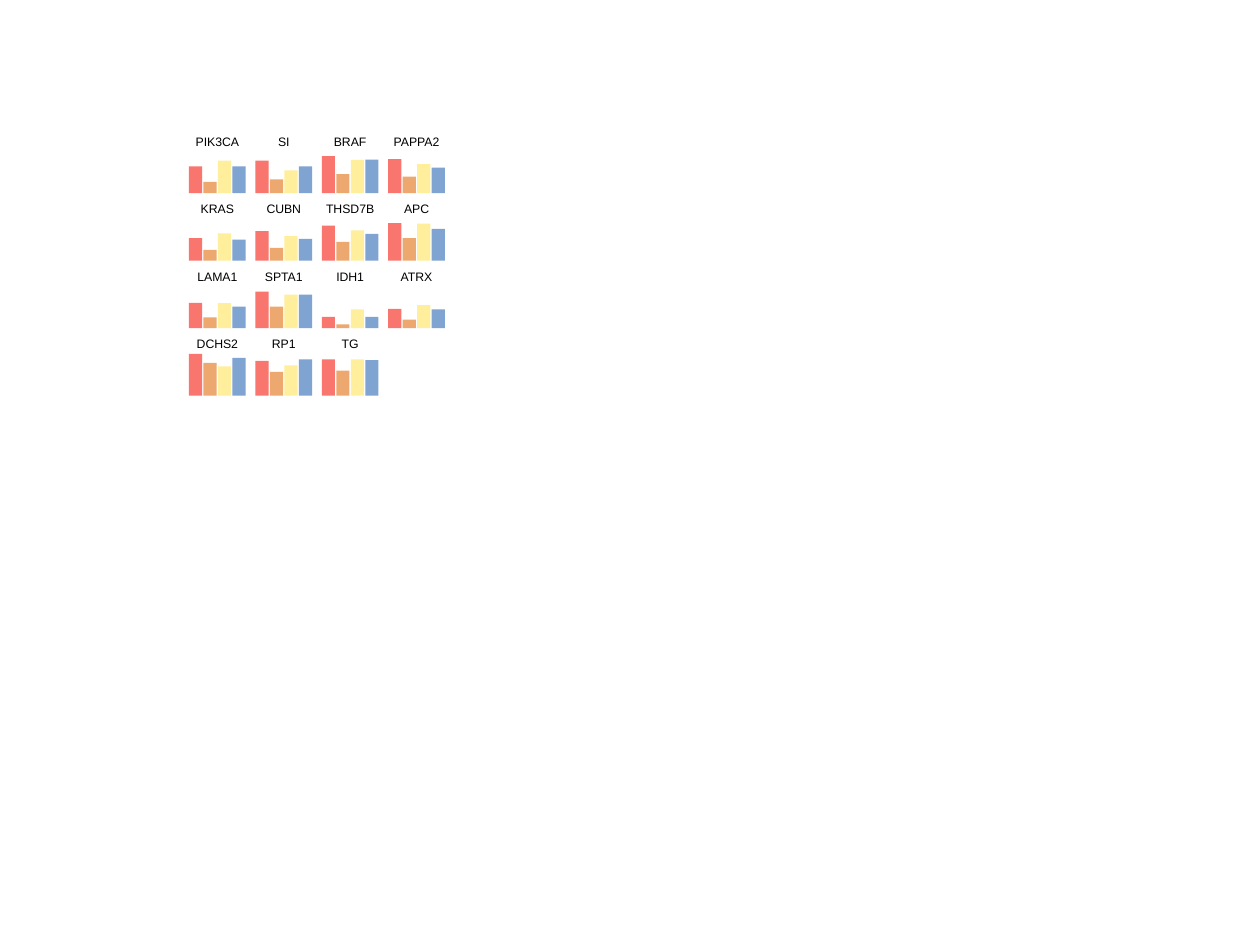
from pptx import Presentation
from pptx.dml.color import RGBColor
from pptx.enum.shapes import MSO_SHAPE
from pptx.enum.text import MSO_ANCHOR, PP_ALIGN
from pptx.util import Pt

PX_PER_INCH = 1000
EMU_PER_PX = 914400 // PX_PER_INCH

BLACK = RGBColor(0x00, 0x00, 0x00)
RED = RGBColor(0xF8, 0x76, 0x6D)
ORANGE = RGBColor(0xEC, 0xA8, 0x6E)
YELLOW = RGBColor(0xFF, 0xEF, 0x9C)
BLUE = RGBColor(0x7F, 0xA4, 0xD1)
BAR_COLORS = (RED, ORANGE, YELLOW, BLUE)

GRID_LEFT, GRID_TOP = 1500, 1070
COLUMNS, COLUMN_PITCH, ROW_PITCH = 4, 527, 536
PANEL_WIDTH, PANEL_HEIGHT = 450, 463
BAR_WIDTH, LABEL_HEIGHT = 105, 50
BAR_PITCH = (PANEL_WIDTH - BAR_WIDTH) // (len(BAR_COLORS) - 1)

LABEL_FRAME = {
    "margin_left": 0, "margin_top": 0, "margin_right": 0, "margin_bottom": 0,
    "word_wrap": False, "vertical_anchor": MSO_ANCHOR.MIDDLE,
}
LABEL_PARAGRAPH = {"alignment": PP_ALIGN.CENTER, "line_spacing": Pt(12)}
LABEL_FONT = {"name": "Arial", "size": Pt(7)}

GENE_BARS = {
    "PIK3CA": (213, 90, 258, 213),
    "SI": (258, 110, 180, 213),
    "BRAF": (294, 150, 263, 265),
    "PAPPA2": (270, 131, 231, 203),
    "KRAS": (180, 85, 217, 167),
    "CUBN": (235, 101, 194, 173),
    "THSD7B": (279, 149, 240, 213),
    "APC": (297, 180, 294, 253),
    "LAMA1": (200, 85, 199, 171),
    "SPTA1": (290, 172, 267, 267),
    "IDH1": (90, 30, 150, 90),
    "ATRX": (154, 68, 183, 149),
    "DCHS2": (332, 260, 233, 300),
    "RP1": (276, 190, 241, 288),
    "TG": (288, 200, 289, 283),
}


def emu(*lengths):
    """Turn px lengths into EMU."""
    return [length * EMU_PER_PX for length in lengths]


def apply_format(target, values):
    """Set each attribute named in a dict of format values."""
    for attribute, value in values.items():
        setattr(target, attribute, value)


def add_label(slide, gene, left, top, width, height):
    """Write a gene name centred in the given box."""
    frame = slide.shapes.add_textbox(*emu(left, top, width, height)).text_frame
    apply_format(frame, LABEL_FRAME)
    paragraph = frame.paragraphs[0]
    apply_format(paragraph, LABEL_PARAGRAPH)
    gene_name = paragraph.add_run()
    gene_name.text = gene
    apply_format(gene_name.font, LABEL_FONT)
    gene_name.font.color.rgb = BLACK


def add_panel(slide, gene, bar_heights, left, top, width, height):
    """Draw one gene's label and its four bars in the given box."""
    baseline = top + height
    for index, (bar_height, color) in enumerate(zip(bar_heights, BAR_COLORS)):
        bar = slide.shapes.add_shape(
            MSO_SHAPE.RECTANGLE,
            *emu(left + index * BAR_PITCH, baseline - bar_height, BAR_WIDTH, bar_height),
        )
        bar.shadow.inherit = False
        bar.fill.solid()
        bar.fill.fore_color.rgb = color
        bar.line.fill.background()
    add_label(slide, gene, left, top, width, LABEL_HEIGHT)


def add_gene_grid(slide, left, top):
    """Lay out the gene panels row by row from the given corner."""
    for index, (gene, bar_heights) in enumerate(GENE_BARS.items()):
        row, column = divmod(index, COLUMNS)
        add_panel(
            slide, gene, bar_heights,
            left + column * COLUMN_PITCH, top + row * ROW_PITCH,
            PANEL_WIDTH, PANEL_HEIGHT,
        )


def main():
    """Build and save the slide."""
    presentation = Presentation()
    presentation.slide_width, presentation.slide_height = emu(10000, 7500)
    slide = presentation.slides.add_slide(presentation.slide_layouts[6])
    add_gene_grid(slide, GRID_LEFT, GRID_TOP)
    presentation.save("out.pptx")


if __name__ == "__main__":
    main()
